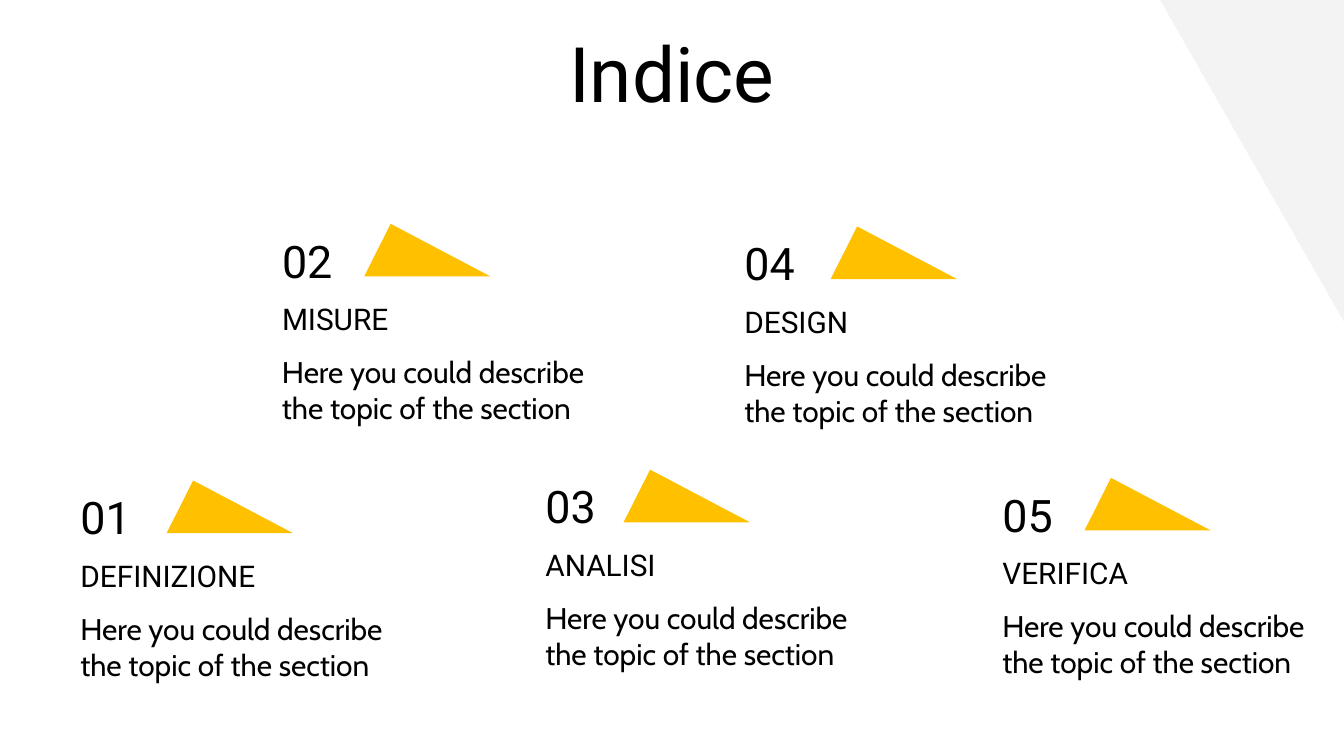
from dataclasses import dataclass

from pptx import Presentation
from pptx.dml.color import RGBColor as Color
from pptx.enum.shapes import MSO_SHAPE as Shape
from pptx.enum.text import MSO_ANCHOR as Anchor, PP_ALIGN as Align
from pptx.util import Pt


@dataclass(frozen=True)
class Theme:
    """Colours, fonts and type sizes of the slide."""
    ink: Color = Color(0x00, 0x00, 0x00)
    accent: Color = Color(0xFF, 0xC0, 0x00)
    corner: Color = Color(0xF3, 0xF3, 0xF3)
    heading_font: str = "Roboto"
    body_font: str = "Cabin"
    title_size: int = 41
    number_size: int = 24
    text_size: int = 16


THEME = Theme()
DESCRIPTION = ["Here you could describe", "the topic of the section"]
SECTIONS = [
    ("01", "DEFINIZIONE", 36, 262.8, 53.3),
    ("02", "MISURE", 144, 125.3, 51.1),
    ("03", "ANALISI", 285.1, 257, 49),
    ("04", "DESIGN", 391.7, 126.7, 53.3),
    ("05", "VERIFICA", 529.9, 261.4, 51.1),
]


def set_all(target, values):
    """Set each attribute of the target from a dict."""
    for name, value in values.items():
        setattr(target, name, value)


def box_format(box):
    """Turn a box in points into position and size attributes."""
    return dict(zip(("left", "top", "width", "height"), map(Pt, box)))


def write(frame, lines, font, size, align=Align.LEFT, anchor=Anchor.TOP):
    """Fill a text frame with one paragraph per line."""
    margins = dict.fromkeys(
        ("margin_left", "margin_top", "margin_right", "margin_bottom"), Pt(7.2))
    set_all(frame, {**margins, "word_wrap": True, "vertical_anchor": anchor})
    for index, line in enumerate(lines):
        paragraph = frame.paragraphs[0] if index == 0 else frame.add_paragraph()
        paragraph.alignment = align
        run = paragraph.add_run()
        run.text = line
        set_all(run.font, {"name": font, "size": Pt(size), "bold": False})
        run.font.color.rgb = THEME.ink


def add_filled(slide, kind, box, color):
    """Add a flat preset shape without an outline."""
    shape = slide.shapes.add_shape(kind, *map(Pt, box))
    shape.shadow.inherit = False
    shape.fill.solid()
    shape.fill.fore_color.rgb = color
    shape.line.fill.background()
    return shape


def add_corner(slide, box):
    """Place the grey triangle in the top right corner."""
    corner = add_filled(slide, Shape.RIGHT_TRIANGLE, box, THEME.corner)
    corner.rotation = 180


def add_title(slide, box, text):
    """Move and format the title placeholder."""
    title = slide.shapes.title
    set_all(title, box_format(box))
    write(title.text_frame, [text], THEME.heading_font, THEME.title_size, Align.CENTER)


def add_section(slide, box, number, name, marker_offset):
    """Place a section's marker, number, name and description."""
    left, top, width, row = box
    marker_box = (left + marker_offset, top - 5.4, 67.7, row)
    marker = add_filled(slide, Shape.ISOSCELES_TRIANGLE, marker_box, THEME.accent)
    marker.adjustments[0] = 0.21
    rows = [
        ([number], 85, THEME.heading_font, THEME.number_size, Anchor.MIDDLE),
        ([name], 170, THEME.heading_font, THEME.text_size, Anchor.TOP),
        (DESCRIPTION, width, THEME.body_font, THEME.text_size, Anchor.TOP),
    ]
    for index, (lines, row_width, font, size, anchor) in enumerate(rows):
        row_box = (left, top + index * 28.6, row_width, row)
        text = slide.shapes.add_textbox(*map(Pt, row_box))
        write(text.text_frame, lines, font, size, anchor=anchor)


def main():
    """Build and save the index slide."""
    deck = Presentation()
    set_all(deck, {"slide_width": Pt(720), "slide_height": Pt(405)})
    slide = deck.slides.add_slide(deck.slide_layouts[5])
    add_corner(slide, (621.5, 0, 98.5, 172.4))
    add_title(slide, (41, 6.5, 638, 45.4), "Indice")
    for number, name, left, top, marker_offset in SECTIONS:
        add_section(slide, (left, top, 204.5, 28.2), number, name, marker_offset)
    deck.save("out.pptx")


if __name__ == "__main__":
    main()
